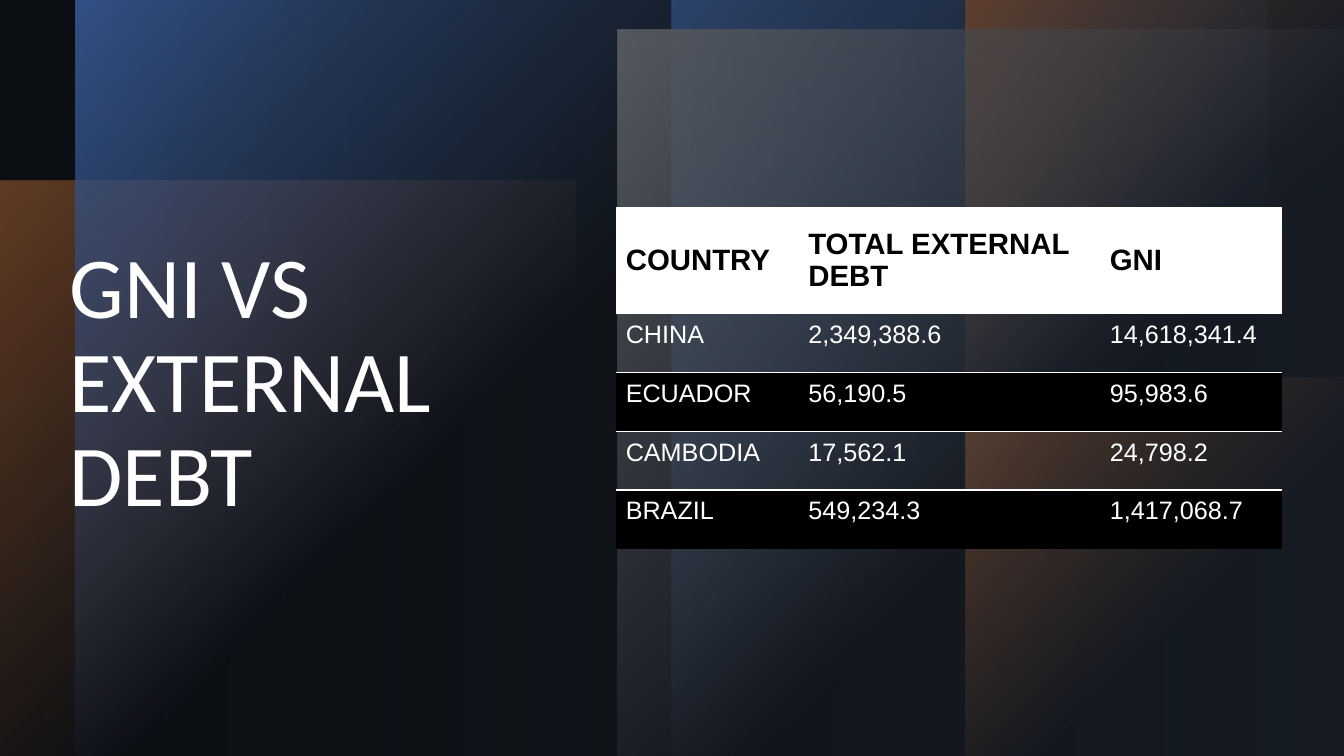
from lxml import etree
from pptx import Presentation
from pptx.dml.color import RGBColor
from pptx.enum.shapes import MSO_SHAPE
from pptx.enum.text import MSO_ANCHOR, MSO_AUTO_SIZE, PP_ALIGN
from pptx.oxml import parse_xml
from pptx.oxml.ns import nsdecls, qn
from pptx.util import Cm, Pt

COLORS = {
    "black": "000000",
    "white": "FFFFFF",
    "blue": "4472C4",
    "orange": "ED7D31",
    "grey": "A3A3A3",
    "night": "1D242E",
}
WIDTH, HEIGHT = 33.87, 19.05
NO_GRID_STYLE = "{2D5ABB26-0587-4C30-8999-92F81FD0307C}"
CORNER_GLOW = '<a:path path="circle"><a:fillToRect r="100000" b="100000"/></a:path>'
LEFT_TO_RIGHT = '<a:lin ang="0" scaled="0"/>'

# left, top, width, height in cm, colour, opacity at the bright corner
GLOWS = [
    (0, 4.55, 14.5, 14.5, "orange", 60),
    (16.92, 0, 15.01, HEIGHT, "blue", 100),
    (1.91, 0, 15.01, HEIGHT, "blue", 100),
    (24.34, HEIGHT / 2, 9.53, HEIGHT / 2, "orange", 100),
    (24.34, 0, 9.53, HEIGHT / 2, "orange", 100),
    (15.56, 0.74, 18.31, 18.31, "grey", 100),
]
DEBT_ROWS = [
    ("COUNTRY", "TOTAL EXTERNAL DEBT", "GNI"),
    ("CHINA", "2,349,388.6", "14,618,341.4"),
    ("ECUADOR", "56,190.5", "95,983.6"),
    ("CAMBODIA", "17,562.1", "24,798.2"),
    ("BRAZIL", "549,234.3", "1,417,068.7"),
]


def rgb(name):
    return RGBColor.from_string(COLORS[name])


def add_fading_panel(slide, box, color, stops, direction):
    """Add a rectangle of one colour; stops are (position, opacity) in percent."""
    panel = slide.shapes.add_shape(MSO_SHAPE.RECTANGLE, *map(Cm, box))
    panel.shadow.inherit = False
    panel.line.fill.background()
    panel.fill.background()
    stop_xml = "".join(
        f'<a:gs pos="{position * 1000}"><a:srgbClr val="{COLORS[color]}">'
        f'<a:alpha val="{opacity * 1000}"/></a:srgbClr></a:gs>'
        for position, opacity in stops
    )
    gradient = parse_xml(
        f'<a:gradFill {nsdecls("a")} rotWithShape="1">'
        f"<a:gsLst>{stop_xml}</a:gsLst>{direction}</a:gradFill>"
    )
    properties = panel._element.spPr
    properties.replace(properties.find(qn("a:noFill")), gradient)


def add_backdrop(slide):
    slide.background.fill.solid()
    slide.background.fill.fore_color.rgb = rgb("black")
    for *box, color, opacity in GLOWS:
        add_fading_panel(slide, box, color, [(0, opacity), (60, 0)], CORNER_GLOW)
    add_fading_panel(slide, (0, 0, WIDTH, HEIGHT), "night",
                     [(0, 40), (100, 80)], LEFT_TO_RIGHT)


def write_run(paragraph, text, font_name, size, color, bold=False):
    run = paragraph.add_run()
    run.text = text
    run.font.name = font_name
    run.font.size = Pt(size)
    run.font.bold = bold
    run.font.color.rgb = rgb(color)


def set_title(slide, left, top, width, height):
    title = slide.shapes.title
    title.left, title.top = Cm(left), Cm(top)
    title.width, title.height = Cm(width), Cm(height)
    frame = title.text_frame
    frame.word_wrap = True
    frame.auto_size = MSO_AUTO_SIZE.NONE
    frame.vertical_anchor = MSO_ANCHOR.BOTTOM
    heading = frame.paragraphs[0]
    heading.alignment = PP_ALIGN.LEFT
    heading.line_spacing = 0.9
    write_run(heading, "GNI VS EXTERNAL DEBT", "Calibri", 62, "white")


def add_rule(cell, side):
    """Draw a white 1 pt border; side is lnT or lnB."""
    line = parse_xml(f'<a:{side} {nsdecls("a")} w="12700"/>')
    fill = etree.SubElement(line, qn("a:solidFill"))
    etree.SubElement(fill, qn("a:srgbClr"), val=COLORS["white"])
    cell._tc.get_or_add_tcPr().insert(0, line)


def format_cell(cell, text, row):
    is_header, is_band = row == 0, row > 0 and row % 2 == 0
    cell.margin_left, cell.margin_right = Cm(0.25), Cm(0.18)
    cell.margin_top, cell.margin_bottom = Cm(0.38 if is_header else 0.18), Cm(0.38)
    cell.vertical_anchor = MSO_ANCHOR.MIDDLE if is_header else MSO_ANCHOR.TOP
    if is_header or is_band:
        cell.fill.solid()
        cell.fill.fore_color.rgb = rgb("white" if is_header else "black")
    else:
        cell.fill.background()
        add_rule(cell, "lnB")
    if is_band:
        add_rule(cell, "lnT")
    write_run(cell.text_frame.paragraphs[0], text, "Arial",
              21 if is_header else 18, "black" if is_header else "white", is_header)


def add_debt_table(slide, left, top, width, height):
    frame = slide.shapes.add_table(len(DEBT_ROWS), len(DEBT_ROWS[0]),
                                   Cm(left), Cm(top), Cm(width), Cm(height))
    table = frame.table
    table.first_row = table.horz_banding = False
    next(frame._element.iter(qn("a:tableStyleId"))).text = NO_GRID_STYLE

    debt_width, header_height = 7.6, 2.7
    country_width = (width - debt_width) / 2
    for column, column_width in zip(table.columns, (country_width, debt_width, country_width)):
        column.width = Cm(column_width)
    body_height = (height - header_height) / (len(DEBT_ROWS) - 1)
    for row, values in enumerate(DEBT_ROWS):
        table.rows[row].height = Cm(body_height if row else header_height)
        for column, text in enumerate(values):
            format_cell(table.cell(row, column), text, row)


def main():
    deck = Presentation()
    deck.slide_width, deck.slide_height = Cm(WIDTH), Cm(HEIGHT)
    slide = deck.slides.add_slide(deck.slide_layouts[5])
    add_backdrop(slide)
    set_title(slide, 1.5, 1.52, 12.5, 11.84)
    # The title sits in front of the backdrop panels.
    slide.shapes._spTree.append(slide.shapes.title._element)
    add_debt_table(slide, 15.52, 5.21, 16.8, 8.62)
    deck.save("out.pptx")


if __name__ == "__main__":
    main()
